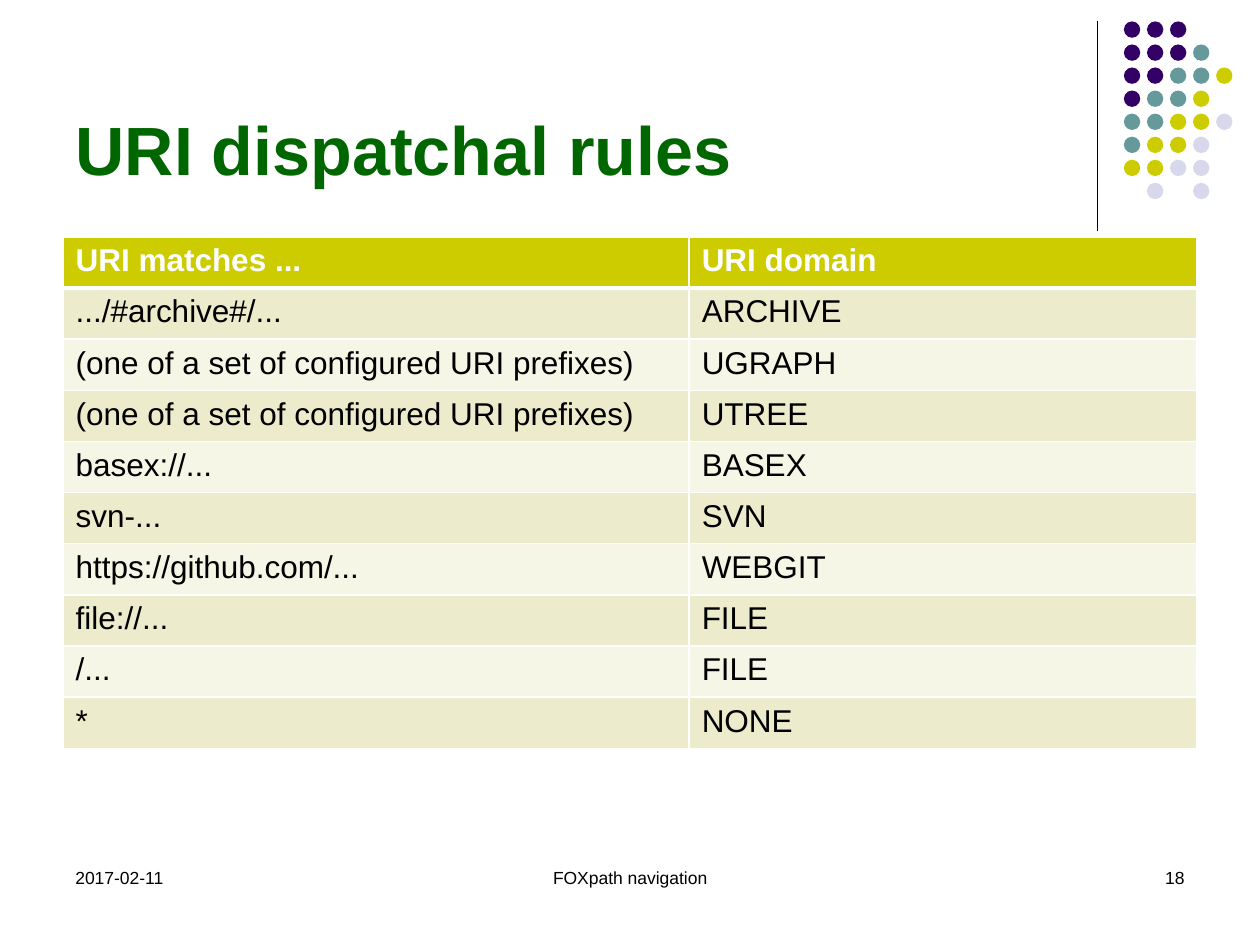
from lxml import etree
from pptx import Presentation
from pptx.dml.color import RGBColor
from pptx.enum import shapes, text
from pptx.oxml import ns
from pptx.util import Inches, Pt

TITLE = "URI dispatchal rules"
RULES = [
    ("URI matches ...", "URI domain"),
    (".../#archive#/...", "ARCHIVE"),
    ("(one of a set of configured URI prefixes)", "UGRAPH"),
    ("(one of a set of configured URI prefixes)", "UTREE"),
    ("basex://...", "BASEX"),
    ("svn-...", "SVN"),
    ("https://github.com/...", "WEBGIT"),
    ("file://...", "FILE"),
    ("/...", "FILE"),
    ("*", "NONE"),
]
COL_WIDTHS = (4.97, 4.03)
ROW_HEIGHT = 0.406
FOOTERS = [  # text, left, width, alignment
    ("2017-02-11", 0.5, 2.33, text.PP_ALIGN.LEFT),
    ("FOXpath navigation", 3.19, 3.62, text.PP_ALIGN.CENTER),
    ("18", 7.17, 2.33, text.PP_ALIGN.RIGHT),
]
DOT_COLORS = {"P": "330066", "T": "669999", "Y": "CCCC00", "L": "D8D8EC"}
DOT_ROWS = ["PPP", "PPPT", "PPTTY", "PTTY", "TTYYL", "TYYL", "YYLL", " L L"]
DOT_PITCH, DOT_SIZE = 0.183, 0.13


def rgb(color):
    return RGBColor.from_string(color)


def write(tf, content, size, color="000000", bold=False, align=text.PP_ALIGN.LEFT):
    p = tf.paragraphs[0]
    p.alignment = align
    r = p.add_run()
    r.text = content
    r.font.name = "Arial"
    r.font.size = Pt(size)
    r.font.bold = bold
    r.font.color.rgb = rgb(color)


def set_borders(cell, bottom):
    """Give the cell white borders, 1 pt except for the bottom one."""
    tc_pr = cell._tc.get_or_add_tcPr()
    for i, (side, width) in enumerate(zip("LRTB", (1, 1, 1, bottom))):
        ln = etree.Element(ns.qn(f"a:ln{side}"), w=str(Pt(width)))
        fill = etree.SubElement(ln, ns.qn("a:solidFill"))
        etree.SubElement(fill, ns.qn("a:srgbClr"), val="FFFFFF")
        tc_pr.insert(i, ln)


def add_dots(s):
    for row, codes in enumerate(DOT_ROWS):
        for col, code in enumerate(codes):
            if code == " ":
                continue
            dot = s.shapes.add_shape(
                shapes.MSO_SHAPE.OVAL,
                Inches(8.92 + col * DOT_PITCH), Inches(0.17 + row * DOT_PITCH),
                Inches(DOT_SIZE), Inches(DOT_SIZE))
            dot.shadow.inherit = False
            dot.fill.solid()
            dot.fill.fore_color.rgb = rgb(DOT_COLORS[code])
            dot.line.fill.background()


def add_rule_line(s):
    line = s.shapes.add_connector(
        shapes.MSO_CONNECTOR.STRAIGHT,
        Inches(8.71), Inches(0.17), Inches(8.71), Inches(1.83))
    line.line.color.rgb = rgb("000000")
    line.line.width = Pt(0.75)
    etree.SubElement(line._element.spPr, ns.qn("a:effectLst"))


def add_title(s):
    title = s.shapes.title
    title.left, title.top = Inches(0.5), Inches(0.13)
    title.width, title.height = Inches(8.25), Inches(1.42)
    title.text_frame.vertical_anchor = text.MSO_ANCHOR.BOTTOM
    write(title.text_frame, TITLE, 39, "006600", bold=True)


def add_rules_table(s):
    table = s.shapes.add_table(
        len(RULES), len(COL_WIDTHS), Inches(0.5), Inches(1.88),
        Inches(sum(COL_WIDTHS)), Inches(ROW_HEIGHT * len(RULES))).table
    for column, width in zip(table.columns, COL_WIDTHS):
        column.width = Inches(width)
    for i, values in enumerate(RULES):
        header = i == 0
        fill = "CCCC00" if header else "ECECCC" if i % 2 else "F6F6E7"
        for j, value in enumerate(values):
            cell = table.cell(i, j)
            cell.fill.solid()
            cell.fill.fore_color.rgb = rgb(fill)
            set_borders(cell, bottom=3 if header else 1)
            write(cell.text_frame, value, 18,
                  "FFFFFF" if header else "000000", bold=header)


def add_footers(s):
    for content, left, width, align in FOOTERS:
        tf = s.shapes.add_textbox(
            Inches(left), Inches(6.83), Inches(width), Inches(0.5)).text_frame
        tf.word_wrap = True
        tf.vertical_anchor = text.MSO_ANCHOR.TOP
        write(tf, content, 10, align=align)


def main():
    prs = Presentation()
    prs.slide_width, prs.slide_height = Inches(10), Inches(7.5)
    s = prs.slides.add_slide(prs.slide_layouts[5])
    add_rule_line(s)
    add_dots(s)
    add_title(s)
    add_rules_table(s)
    add_footers(s)
    prs.save("out.pptx")


if __name__ == "__main__":
    main()
